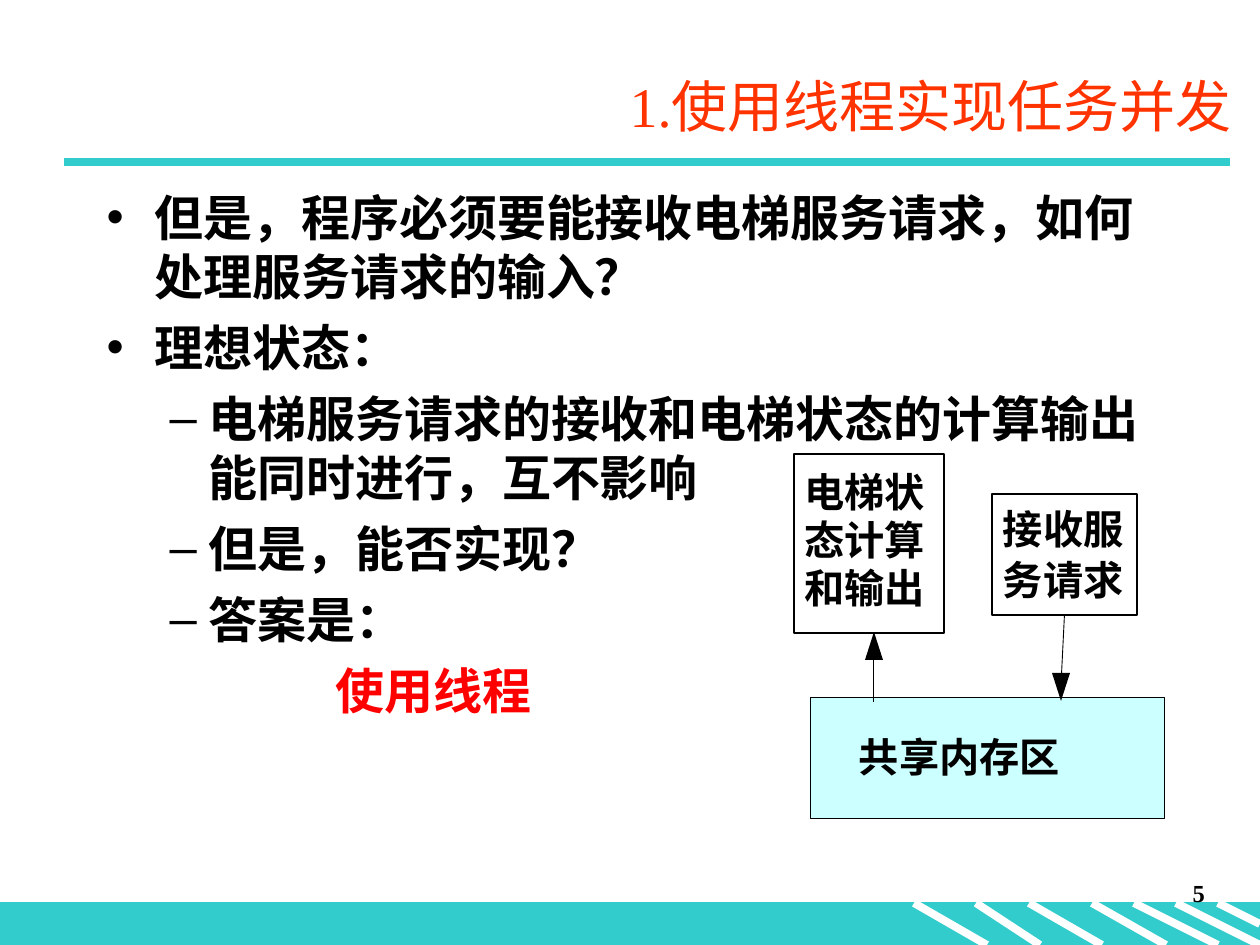
from lxml.etree import SubElement
from pptx import Presentation
from pptx.dml.color import RGBColor
from pptx.enum.shapes import MSO_CONNECTOR, MSO_SHAPE
from pptx.enum.text import MSO_ANCHOR, MSO_AUTO_SIZE, PP_ALIGN
from pptx.oxml.ns import qn
from pptx.util import Emu, Pt

BLACK = RGBColor(0x00, 0x00, 0x00)
WHITE = RGBColor(0xFF, 0xFF, 0xFF)
RED = RGBColor(0xFF, 0x00, 0x00)
ORANGE = RGBColor(0xFF, 0x33, 0x00)
TEAL = RGBColor(0x33, 0xCC, 0xCC)
PALE_CYAN = RGBColor(0xCC, 0xFF, 0xFF)

SERIF = "Times New Roman"
SANS = "Noto Sans CJK SC"


def px(length):
    return Emu(round(length * 914400 / 126))


def write(para, text, size=28, font=SERIF, color=BLACK, bold=True,
          align=PP_ALIGN.LEFT, before=0):
    para.alignment = align
    para.space_before = Pt(before)
    span = para.add_run()
    span.text = text
    span.font.size = Pt(size)
    span.font.name = font
    span.font.bold = bold
    span.font.color.rgb = color


def set_bullet(para, margin, indent, mark=None):
    """Set the hanging indent in px and the bullet; no mark means no bullet."""
    properties = para._p.get_or_add_pPr()
    properties.set("marL", str(px(margin)))
    properties.set("indent", str(px(indent)))
    if mark:
        color = SubElement(properties, qn("a:buClr"))
        SubElement(color, qn("a:srgbClr")).set("val", str(BLACK))
        SubElement(properties, qn("a:buChar")).set("char", mark)
    else:
        SubElement(properties, qn("a:buNone"))


class SlideBuilder:
    """Holds the current slide and draws its elements in px."""

    def __init__(self, page):
        self.page = page
        self.shapes = page.shapes

    def placeholder(self, index, left, top, width, height):
        box = self.page.placeholders[index]
        box.left, box.top, box.width, box.height = map(px, (left, top, width, height))
        box.text_frame.auto_size = MSO_AUTO_SIZE.NONE
        return box.text_frame

    def rectangle(self, left, top, width, height, fill, line, weight):
        box = self.shapes.add_shape(MSO_SHAPE.RECTANGLE, *map(px, (left, top, width, height)))
        box.shadow.inherit = False
        box.fill.solid()
        box.fill.fore_color.rgb = fill
        box.line.color.rgb = line
        box.line.width = Pt(weight)
        return box

    def line(self, start, end, color, weight):
        connector = self.shapes.add_connector(MSO_CONNECTOR.STRAIGHT, *map(px, start + end))
        connector.line.color.rgb = color
        connector.line.width = Pt(weight)
        SubElement(connector._element.spPr, qn("a:effectLst"))
        return connector

    def arrowhead(self, tip, base_y, half_width=9):
        """Draw a solid vertical triangle from its base to its tip."""
        x, y = tip
        outline = self.shapes.build_freeform(px(x - half_width), px(base_y))
        outline.add_line_segments([(px(x), px(y)), (px(x + half_width), px(base_y))])
        head = outline.convert_to_shape()
        head.shadow.inherit = False
        head.fill.solid()
        head.fill.fore_color.rgb = BLACK
        head.line.fill.background()

    def text(self, left, top, width, height, lines, inset=0, wrap=False, **style):
        box = self.shapes.add_textbox(*map(px, (left, top, width, height)))
        frame = box.text_frame
        frame.word_wrap = wrap
        frame.margin_left = frame.margin_right = px(2 * inset)
        frame.margin_top = frame.margin_bottom = px(inset)
        for number, words in enumerate(lines):
            para = frame.add_paragraph() if number else frame.paragraphs[0]
            write(para, words, **style)


def draw_background(slide):
    slide.rectangle(0, 903, 1260, 42, TEAL, TEAL, 0.75)
    stripes = [(914, 987), (976, 1040), (1029, 1102), (1092, 1166), (1134, 1218), (1176, 1260)]
    for start, end in stripes:
        slide.line((start, 903), (end, 945), WHITE, 4.5)
    slide.line((1218, 903), (1260, 924), WHITE, 4.5)
    slide.line((64, 162), (1230, 162), TEAL, 4.5)


def draw_content(slide):
    title = slide.placeholder(0, 174, 55, 1071, 100)
    title.vertical_anchor = MSO_ANCHOR.MIDDLE
    write(title.paragraphs[0], "1.使用线程实现任务并发", size=32, color=ORANGE,
          bold=False, align=PP_ALIGN.RIGHT)

    body = slide.placeholder(1, 94, 181, 1071, 635)
    items = [
        (0, "但是，程序必须要能接收电梯服务请求，如何处理服务请求的输入？"),
        (0, "理想状态："),
        (1, "电梯服务请求的接收和电梯状态的计算输出能同时进行，互不影响"),
        (1, "但是，能否实现？"),
        (1, "答案是："),
    ]
    bullets = [(48, -48, "•"), (102, -39, "–")]
    for number, (level, words) in enumerate(items):
        para = body.add_paragraph() if number else body.paragraphs[0]
        para.level = level
        write(para, words, before=7)
        set_bullet(para, *bullets[level])
    answer = body.add_paragraph()
    answer.level = 1
    write(answer, "使用线程", color=RED, before=7)
    set_bullet(answer, 229, 0)


def draw_diagram(slide):
    label = {"size": 23, "font": SANS}
    slide.rectangle(794, 454, 150, 179, WHITE, BLACK, 1.5)
    slide.text(804, 467, 121, 145, ["电梯状", "态计算", "和输出"], **label)
    slide.rectangle(810, 697, 355, 121, PALE_CYAN, BLACK, 0.5)
    slide.text(859, 732, 202, 48, ["共享内存区"], **label)
    receiver = slide.rectangle(992, 494, 145, 121, WHITE, BLACK, 1.5)
    for top, words in [(504, "接收服"), (555, "务请求")]:
        slide.text(1003, top, 121, 48, [words], **label)

    slide.line((873, 702), (873, 658), BLACK, 0.5)
    slide.arrowhead((874, 632), 660)
    request = slide.line((1064, 615), (1061, 685), BLACK, 0.5)
    request.begin_connect(receiver, 2)
    slide.arrowhead((1061, 701), 673)


def main():
    deck = Presentation()
    deck.slide_width, deck.slide_height = px(1260), px(945)
    slide = SlideBuilder(deck.slides.add_slide(deck.slide_layouts[1]))
    draw_background(slide)
    draw_content(slide)
    draw_diagram(slide)
    slide.text(955, 872, 262, 63, ["5"], inset=6, wrap=True, size=14,
               align=PP_ALIGN.RIGHT, before=8.8)
    deck.save("out.pptx")


if __name__ == "__main__":
    main()
